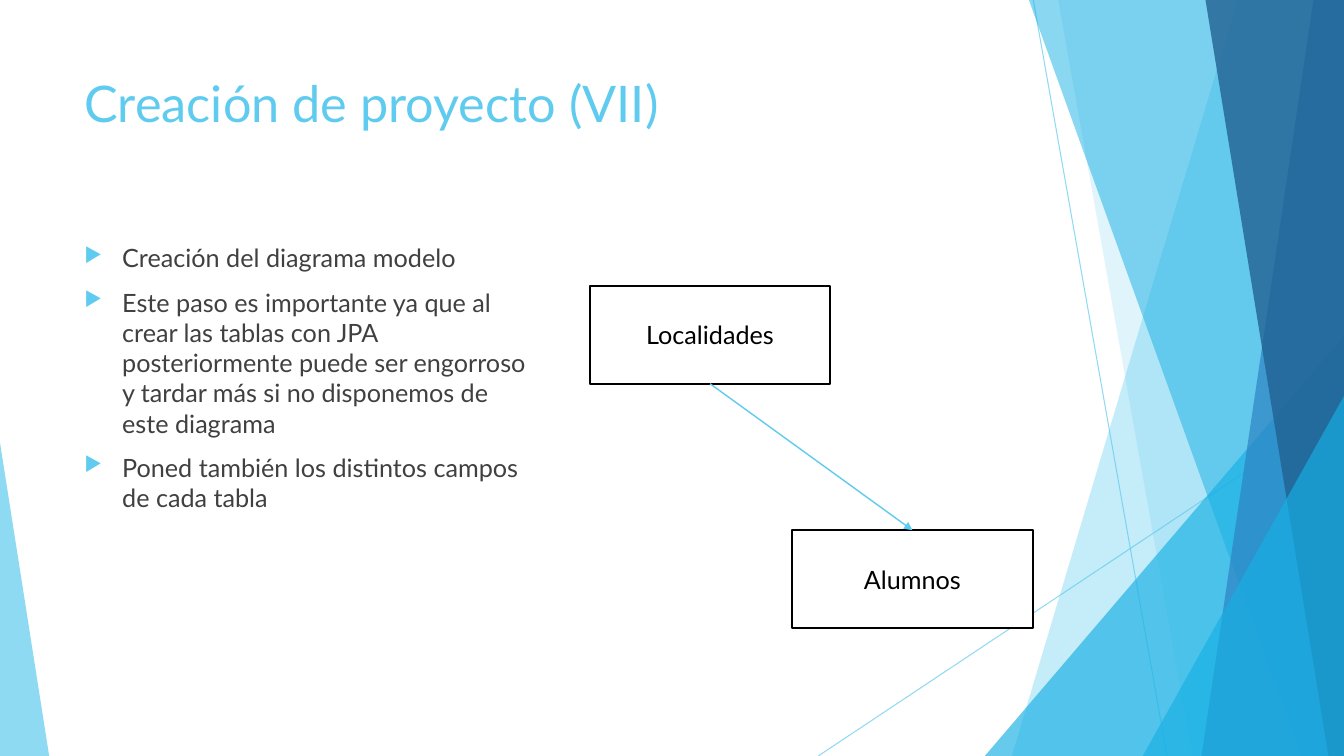
from collections import namedtuple
from lxml.etree import SubElement
from pptx import Presentation
from pptx.dml.color import RGBColor
from pptx.enum.shapes import MSO_CONNECTOR, MSO_SHAPE
from pptx.enum.text import MSO_ANCHOR, PP_ALIGN
from pptx.oxml.ns import qn
from pptx.util import Cm, Pt

Box = namedtuple("Box", "left top width height")
COLORS = {
    "sky": "5FCBEF",
    "cyan": "17B0E4",
    "blue": "2E83C3",
    "navy": "226292",
    "body": "404040",
    "black": "000000",
    "white": "FFFFFF",
}
FONT = "Lato"
PAGE = Box(0, 0, 33.87, 19.05)
BOTTOM, TOP = 2, 0


def rgb(name):
    return RGBColor.from_string(COLORS[name])


def paint(fill, color, opacity=100):
    fill.solid()
    fill.fore_color.rgb = rgb(color)
    if opacity < 100:
        for node in fill._xPr.iter(qn("a:srgbClr")):
            SubElement(node, qn("a:alpha"), val=str(opacity * 1000))


def add_line(page, start, end, width, opacity=100):
    line = page.shapes.add_connector(
        MSO_CONNECTOR.STRAIGHT, *(Cm(value) for value in start + end))
    line.line.width = Pt(width)
    paint(line.line.fill, "sky", opacity)
    SubElement(line._element.spPr, qn("a:effectLst"))
    return line


def add_facet(page, box, top_left, bottom_left, color, opacity):
    right, bottom = box.left + box.width, box.top + box.height
    builder = page.shapes.build_freeform(Cm(box.left + top_left), Cm(box.top))
    corners = [(right, box.top), (right, bottom), (box.left + bottom_left, bottom)]
    builder.add_line_segments([(Cm(x), Cm(y)) for x, y in corners])
    facet = builder.convert_to_shape()
    facet.shadow.inherit = False
    facet.line.fill.background()
    paint(facet.fill, color, opacity)


def add_triangle(page, box, left, width, height, apex, color, opacity):
    triangle = page.shapes.add_shape(
        MSO_SHAPE.ISOSCELES_TRIANGLE, Cm(box.left + left),
        Cm(box.top + box.height - height), Cm(width), Cm(height))
    triangle.adjustments[0] = apex
    triangle.shadow.inherit = False
    triangle.line.fill.background()
    paint(triangle.fill, color, opacity)


def add_backdrop(page, box):
    def spot(x, y):
        return box.left + x, box.top + y

    add_line(page, spot(26.04, 0), spot(29.41, box.height), 0.75, 70)
    add_line(page, spot(box.width, 10.24), spot(20.62, box.height), 0.75, 70)
    add_facet(page, box, 31.19, 25.5, "sky", 36)
    add_facet(page, box, 26.67, 30.05, "sky", 20)
    add_triangle(page, box, 24.82, 9.05, 10.59, 1, "cyan", 66)
    add_facet(page, box, 25.93, 32.79, "cyan", 50)
    add_facet(page, box, 33.1, 30.28, "blue", 70)
    add_facet(page, box, 30.38, 33.48, "navy", 80)
    add_triangle(page, box, 28.8, 5.07, 9.07, 1, "cyan", 66)
    add_triangle(page, box, 0, 1.24, 7.9, 0, "sky", 70)


def write(para, text, size=18, color="black", align=PP_ALIGN.LEFT, before=0):
    para.alignment = align
    para.space_before = Pt(before)
    span = para.add_run()
    span.text = text
    span.font.name = FONT
    span.font.size = Pt(size)
    span.font.color.rgb = rgb(color)


def add_bullet(para):
    properties = para._p.get_or_add_pPr()
    properties.set("marL", str(Cm(0.95)))
    properties.set("indent", str(-Cm(0.95)))
    color = SubElement(properties, qn("a:buClr"))
    SubElement(color, qn("a:srgbClr"), val=COLORS["sky"])
    SubElement(properties, qn("a:buSzPct"), val="80000")
    SubElement(properties, qn("a:buChar"), char="▶")


def add_text_frame(page, box):
    frame = page.shapes.add_textbox(*(Cm(value) for value in box)).text_frame
    frame.word_wrap = True
    frame.vertical_anchor = MSO_ANCHOR.TOP
    return frame


def add_title(page, box, text):
    write(add_text_frame(page, box).paragraphs[0], text, size=36, color="sky")


def add_bullets(page, box, items):
    frame = add_text_frame(page, box)
    for index, item in enumerate(items):
        para = frame.add_paragraph() if index else frame.paragraphs[0]
        write(para, item, color="body", before=10)
        add_bullet(para)


def add_entity(page, box, name):
    entity = page.shapes.add_shape(
        MSO_SHAPE.RECTANGLE, *(Cm(value) for value in box))
    entity.shadow.inherit = False
    paint(entity.fill, "white")
    paint(entity.line.fill, "black")
    entity.line.width = Pt(1.5)
    entity.text_frame.word_wrap = True
    entity.text_frame.vertical_anchor = MSO_ANCHOR.MIDDLE
    write(entity.text_frame.paragraphs[0], name, align=PP_ALIGN.CENTER)
    return entity


def add_diagram(page, box):
    width, height = 6.07, 2.46
    towns = add_entity(page, Box(box.left, box.top, width, height), "Localidades")
    students = add_entity(
        page,
        Box(box.left + box.width - width, box.top + box.height - height, width, height),
        "Alumnos")
    arrow = add_line(page, (box.left, box.top), (box.left, box.top), 1)
    arrow.begin_connect(towns, BOTTOM)
    arrow.end_connect(students, TOP)
    SubElement(arrow.line._get_or_add_ln(), qn("a:tailEnd"), type="triangle")


def main():
    deck = Presentation()
    deck.slide_width, deck.slide_height = Cm(PAGE.width), Cm(PAGE.height)
    page = deck.slides.add_slide(deck.slide_layouts[6])
    add_backdrop(page, PAGE)
    add_title(page, Box(1.88, 1.7, 23.88, 3.66), "Creación de proyecto (VII)")
    add_bullets(page, Box(1.88, 5.99, 11.63, 10.77), [
        "Creación del diagrama modelo",
        "Este paso es importante ya que al crear las tablas con JPA "
        "posteriormente puede ser engorroso y tardar más si no disponemos "
        "de este diagrama",
        "Poned también los distintos campos de cada tabla",
    ])
    add_diagram(page, Box(14.86, 7.21, 11.17, 8.61))
    deck.save("out.pptx")


if __name__ == "__main__":
    main()
